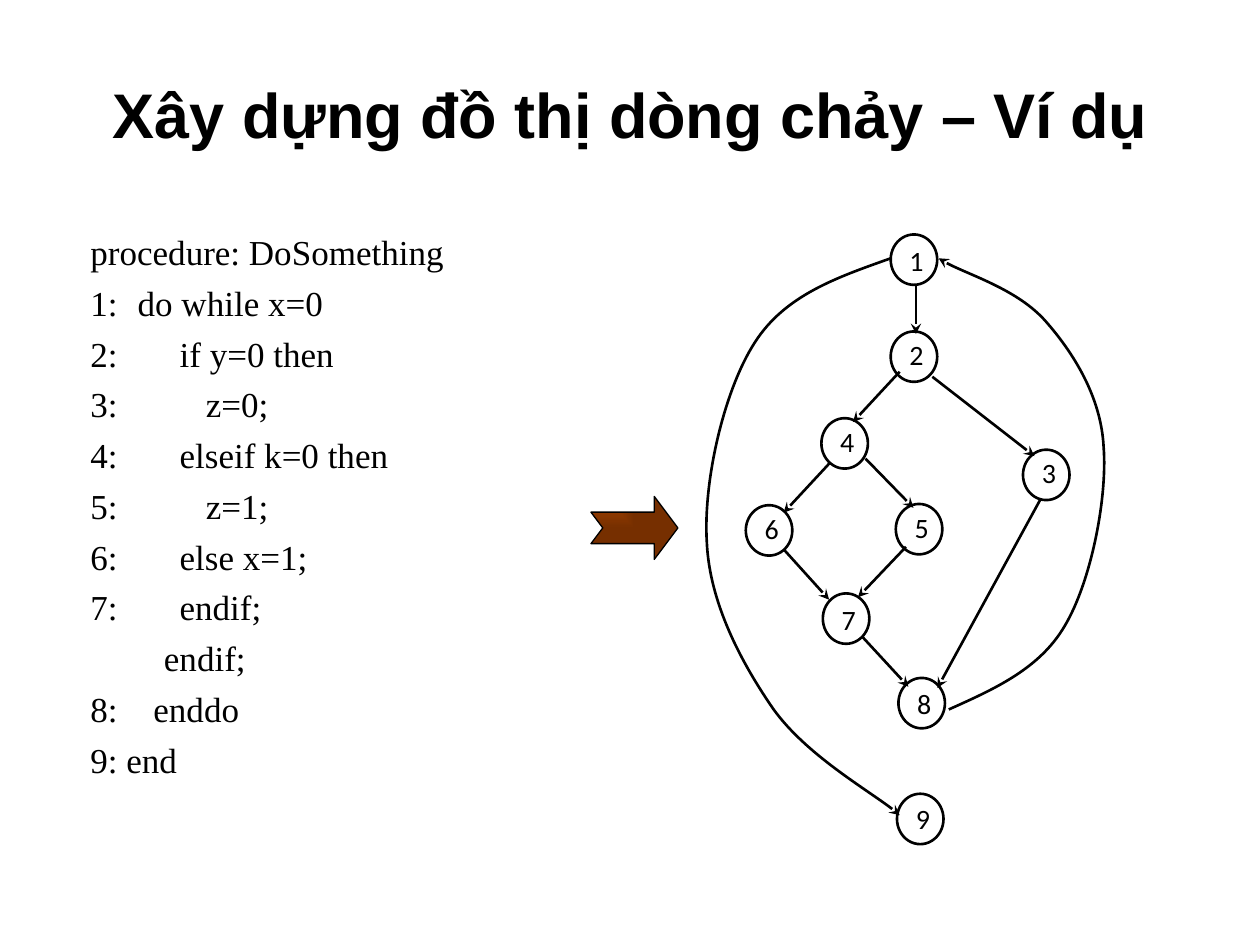
from typing import NamedTuple

from lxml.etree import SubElement
from pptx import Presentation
from pptx.dml.color import RGBColor
from pptx.enum.shapes import MSO_CONNECTOR as Link, MSO_SHAPE as Form
from pptx.enum.text import MSO_ANCHOR as Anchor, PP_ALIGN as Align
from pptx.oxml.ns import qn
from pptx.util import Pt

BLACK = RGBColor(0x00, 0x00, 0x00)
RUST = RGBColor(0xA8, 0x43, 0x00)
BROWN = RGBColor(0x76, 0x2F, 0x00)
NODE_W, NODE_H = 26.6, 28.8
TAG_W, TAG_H, TAG_DX = 58.3, 26.6, -14.4


class Node(NamedTuple):
    name: str
    x: float
    y: float
    drop: float = 0  # how far the label sits below the top of the ring


class Edge(NamedTuple):
    x1: float
    y1: float
    x2: float
    y2: float


class Row(NamedTuple):
    mark: str
    code: str
    indent: float


NODES = [
    Node("1", 509, 134, 1.4), Node("2", 509, 189.4), Node("3", 584.6, 257),
    Node("4", 469.4, 239), Node("5", 511.9, 288), Node("6", 426.2, 288.7),
    Node("7", 470.2, 339.1, 1.4), Node("8", 513.4, 387.4, 1.4),
    Node("9", 512.6, 453.6, 0.7),
]
EDGES = [
    Edge(523.4, 162, 523.4, 190.8),    # 1 to 2
    Edge(532.8, 215.3, 591.1, 260.6),  # 2 to 3
    Edge(514.1, 212.4, 487.4, 241.2),  # 2 to 4
    Edge(474.5, 264.2, 447.8, 293),    # 4 to 6
    Edge(494.6, 262.1, 522, 290.2),    # 4 to 5
    Edge(447.8, 313.9, 473.8, 342.7),  # 6 to 7
    Edge(517.7, 312.5, 490.3, 341.3),  # 5 to 7
    Edge(594.7, 285.1, 535.7, 393.1),  # 3 to 8
    Edge(492.5, 363.6, 519.1, 392.4),  # 7 to 8
]
# Start point, then three points for each Bezier segment
BACK = [
    (542.2, 405.4),
    (568.1, 393.8), (594, 382.3), (608.4, 357.8),
    (623.5, 332.6), (632.9, 284.4), (630.7, 255.6),
    (629.3, 226.8), (613.4, 201.6), (597.6, 183.6),
    (581.8, 165.6), (546.5, 154.8), (536.4, 147.6),
]
EXIT = [
    (509, 147.6),
    (478.8, 158.4), (448.6, 168.5), (431.3, 195.8),
    (414, 222.5), (401.8, 274.3), (403.9, 309.6),
    (405.4, 344.9), (424.1, 379.4), (442.1, 405.4),
    (460.8, 431.3), (503.3, 455.8), (514.1, 465.8),
]
ROWS = [
    Row("1:", "do while x=0", 27), Row("2:", "if y=0 then", 51),
    Row("3:", "z=0;", 66), Row("4:", "elseif k=0 then", 51),
    Row("5:", "z=1;", 66), Row("6:", "else x=1;", 51),
    Row("7:", "endif;", 51), Row("", "endif;", 42),
    Row("8:", "enddo", 36),
]


def style(par, face: str, size: float, align=Align.LEFT, bold=False) -> None:
    font = par.font
    font.name, font.size, font.bold = face, Pt(size), bold
    font.color.rgb = BLACK
    par.alignment = align


def place(shape, x: float, y: float, w: float, h: float) -> None:
    shape.left, shape.top, shape.width, shape.height = map(Pt, (x, y, w, h))


def stroke(shape, width: float = 1.5, head: bool = False) -> None:
    shape.line.color.rgb = BLACK
    shape.line.width = Pt(width)
    if head:
        SubElement(shape.line._get_or_add_ln(), qn("a:tailEnd"), type="stealth")


def add_title(slide) -> None:
    title = slide.shapes.title
    place(title, 45.4, 23.8, 630, 81.4)
    frame = title.text_frame
    frame.text = "Xây dựng đồ thị dòng chảy – Ví dụ"
    frame.vertical_anchor = Anchor.MIDDLE
    style(frame.paragraphs[0], "Arial", 36, Align.CENTER, True)


def add_code(slide) -> None:
    box = slide.shapes.add_textbox(Pt(44.6), Pt(128.2), Pt(313.2), Pt(362.9))
    frame = box.text_frame
    frame.word_wrap = True
    frame.text = "\n".join([
        "procedure: DoSomething",
        *(f"{row.mark}\t{row.code}" for row in ROWS),
        "9: end",
    ])
    hangs = [27, *(row.indent for row in ROWS), 27]
    for par, hang in zip(frame.paragraphs, hangs):
        style(par, "Times New Roman", 20)
        par.space_before = Pt(5)
        props = par._p.get_or_add_pPr()
        props.set("marL", str(Pt(hang)))
        props.set("indent", str(-Pt(hang)))


def add_node(slide, node: Node) -> None:
    ring = slide.shapes.add_shape(
        Form.OVAL, Pt(node.x), Pt(node.y), Pt(NODE_W), Pt(NODE_H))
    ring.fill.background()
    ring.shadow.inherit = False
    stroke(ring)
    tag = slide.shapes.add_textbox(
        Pt(node.x + TAG_DX), Pt(node.y + node.drop), Pt(TAG_W), Pt(TAG_H))
    tag.text_frame.word_wrap = True
    tag.text_frame.text = node.name
    style(tag.text_frame.paragraphs[0], "Calibri", 16, Align.CENTER)


def add_edge(slide, edge: Edge) -> None:
    line = slide.shapes.add_connector(Link.STRAIGHT, *map(Pt, edge))
    stroke(line, head=True)
    SubElement(line._element.spPr, qn("a:effectLst"))


def add_curve(slide, points: list[tuple[float, float]]) -> None:
    """Draw an arrow of joined Bezier segments."""
    start, *rest = [(Pt(x), Pt(y)) for x, y in points]
    pen = slide.shapes.build_freeform(*start)
    pen.add_line_segments(rest, close=False)
    curve = pen.convert_to_shape()
    legs = list(curve._element.iter(qn("a:lnTo")))
    route = legs[0].getparent()
    for i in range(0, len(legs), 3):
        bend = SubElement(route, qn("a:cubicBezTo"))
        for leg in legs[i:i + 3]:
            bend.append(leg[0])
            route.remove(leg)
    curve.fill.background()
    curve.shadow.inherit = False
    stroke(curve, head=True)


def add_arrow(slide) -> None:
    arrow = slide.shapes.add_shape(
        Form.NOTCHED_RIGHT_ARROW, Pt(337.7), Pt(283.7), Pt(49.7), Pt(36))
    arrow.adjustments[0], arrow.adjustments[1] = 0.5, 0.375
    arrow.shadow.inherit = False
    arrow.fill.gradient()
    for stop, color in zip(arrow.fill.gradient_stops, (RUST, BROWN)):
        stop.color.rgb = color
    grad = arrow._element.spPr.find(qn("a:gradFill"))
    grad.remove(grad.find(qn("a:lin")))
    shade = SubElement(grad, qn("a:path"), path="rect")
    SubElement(shade, qn("a:fillToRect"), r="100000", b="100000")
    stroke(arrow, 0.75)


def main() -> None:
    deck = Presentation()
    deck.slide_width, deck.slide_height = Pt(720), Pt(540)
    slide = deck.slides.add_slide(deck.slide_layouts[5])
    add_title(slide)
    add_code(slide)
    for node in NODES:
        add_node(slide, node)
    for edge in EDGES:
        add_edge(slide, edge)
    for points in (BACK, EXIT):
        add_curve(slide, points)
    add_arrow(slide)
    deck.save("out.pptx")


if __name__ == "__main__":
    main()
